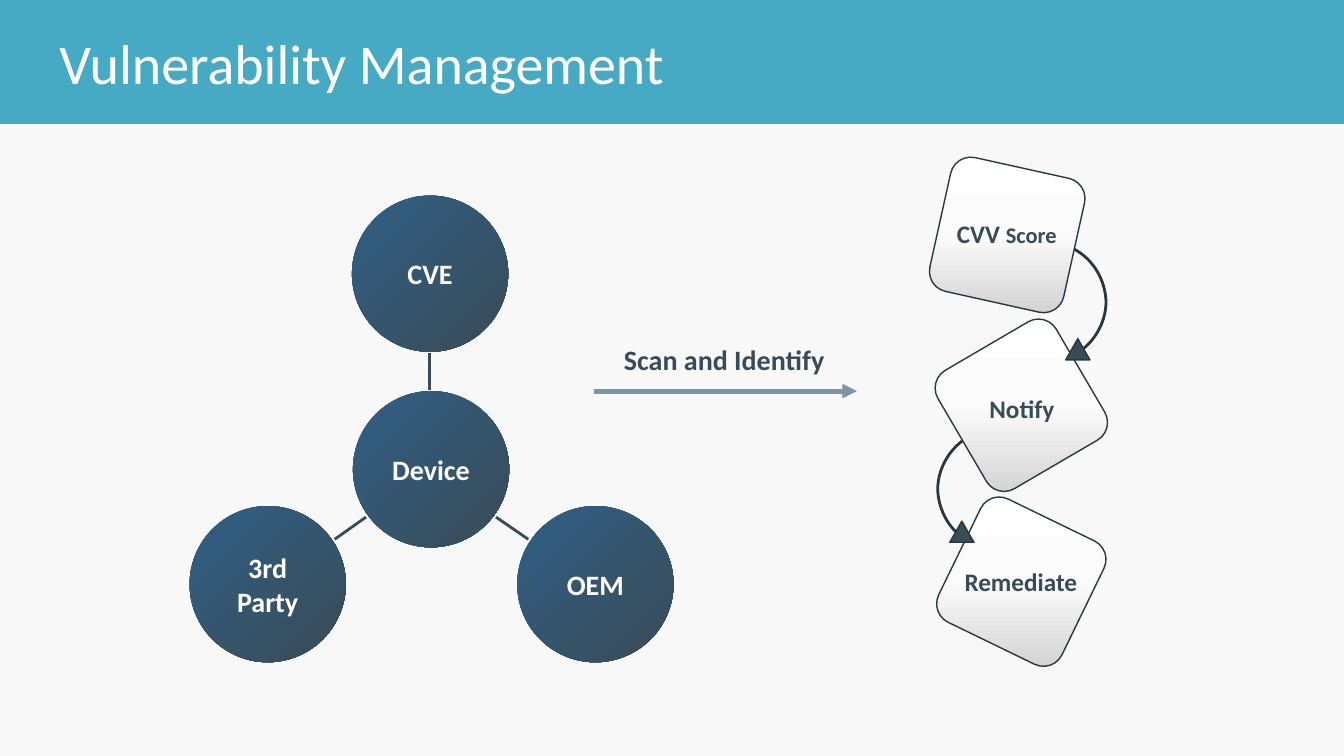
from pptx import Presentation
from pptx.dml.color import RGBColor
from pptx.enum.shapes import MSO_CONNECTOR, MSO_SHAPE
from pptx.enum.text import MSO_ANCHOR, PP_ALIGN
from pptx.oxml import parse_xml
from pptx.oxml.ns import nsdecls, qn
from pptx.util import Pt

EMU_PER_PX = 9144  # 100 px to the inch
WIDTH, HEIGHT = 1333, 750

WHITE, PAPER, TEAL = "FFFFFF", "F8F8F8", "47AAC5"
SLATE, OUTLINE, STEEL = "394B56", "2A3740", "7B96A7"
DISC_STOPS = [(0, "315F85"), (100, SLATE)]
TILE_STOPS = [(0, WHITE), (50, "FBFBFB"), (100, "D1D1D1")]


def px(*lengths):
    return [round(length * EMU_PER_PX) for length in lengths]


def color(hex_code):
    return RGBColor.from_string(hex_code)


def write(frame, *pieces, ink=SLATE, bold=True, align=PP_ALIGN.CENTER, wrap=True):
    """Fill a text frame with one paragraph of (text, size) pieces."""
    frame.word_wrap = wrap
    paragraph = frame.paragraphs[0]
    paragraph.alignment = align
    for text, size in pieces:
        run = paragraph.add_run()
        run.text = text
        run.font.name = "Calibri"
        run.font.size = Pt(size)
        run.font.bold = bold
        run.font.color.rgb = color(ink)


def bezier(p0, p1, p2, p3, steps=16):
    """Points along a cubic curve, without its start."""
    for step in range(1, steps + 1):
        t = step / steps
        s = 1 - t
        yield tuple(s**3 * a + 3 * s * s * t * b + 3 * s * t * t * c + t**3 * d
                    for a, b, c, d in zip(p0, p1, p2, p3))


class SlideBuilder:
    def __init__(self, slide):
        self.shapes = slide.shapes

    def stroke(self, line, ink, weight):
        line.color.rgb = color(ink)
        line.width = Pt(weight)

    def shape(self, kind, x, y, w, h, fill=None, line=None):
        shape = self.shapes.add_shape(kind, *px(x, y, w, h))
        shape.shadow.inherit = False
        if fill:
            shape.fill.solid()
            shape.fill.fore_color.rgb = color(fill)
        if line:
            self.stroke(shape.line, line, 1)
        else:
            shape.line.fill.background()
        return shape

    def gradient(self, shape, stops, angle):
        """Linear gradient that stays upright when the shape turns."""
        stop_xml = "".join(
            f'<a:gs pos="{pos * 1000}"><a:srgbClr val="{ink}"/></a:gs>' for pos, ink in stops)
        shape.fill.gradient()
        properties = shape.element.spPr
        properties.replace(properties.find(qn("a:gradFill")), parse_xml(
            f'<a:gradFill {nsdecls("a")} rotWithShape="0"><a:gsLst>{stop_xml}</a:gsLst>'
            f'<a:lin ang="{angle * 60000}" scaled="0"/></a:gradFill>'))

    def disc(self, x, y, label):
        disc = self.shape(MSO_SHAPE.OVAL, x, y, 155, 155)
        self.gradient(disc, DISC_STOPS, 45)
        disc.text_frame.vertical_anchor = MSO_ANCHOR.MIDDLE
        write(disc.text_frame, (label, 20), ink=WHITE)

    def tile(self, x, y, rotation):
        tile = self.shape(MSO_SHAPE.ROUNDED_RECTANGLE, x, y, 136, 136, line=OUTLINE)
        tile.adjustments[0] = 0.15
        tile.rotation = rotation
        self.gradient(tile, TILE_STOPS, 90)

    def text(self, x, y, w, h, *pieces, **style):
        box = self.shapes.add_textbox(*px(x, y, w, h))
        write(box.text_frame, *pieces, **style)

    def line(self, start, end, ink, weight, arrow=False):
        line = self.shapes.add_connector(MSO_CONNECTOR.STRAIGHT, *px(*start, *end))
        self.stroke(line.line, ink, weight)
        if arrow:
            line.line._get_or_add_ln().append(
                parse_xml(f'<a:tailEnd {nsdecls("a")} type="triangle"/>'))
        line.element.spPr.append(parse_xml(f'<a:effectLst {nsdecls("a")}/>'))

    def curve(self, points):
        points = [px(*point) for point in points]
        builder = self.shapes.build_freeform(*points[0])
        builder.add_line_segments(points[1:], close=False)
        curve = builder.convert_to_shape()
        curve.shadow.inherit = False
        curve.fill.background()
        self.stroke(curve.line, OUTLINE, 2)


def main():
    presentation = Presentation()
    presentation.slide_width, presentation.slide_height = px(WIDTH, HEIGHT)
    page = SlideBuilder(presentation.slides.add_slide(presentation.slide_layouts[6]))

    # Backdrop and title band
    page.shape(MSO_SHAPE.RECTANGLE, 0, 123, WIDTH, HEIGHT - 123, fill=PAPER)
    page.shape(MSO_SHAPE.RECTANGLE, 0, 0, WIDTH, 123, fill=TEAL)
    page.text(49, 23, 626, 77, ("Vulnerability Management", 40),
              ink=WHITE, bold=False, align=PP_ALIGN.LEFT, wrap=False)

    # Arcs between the steps: the second is the first turned half round
    top, bulge, bottom = (1065, 247), (1097, 299), (1062, 354)
    upper_arc = [top, *bezier(top, (1084, 257), (1096, 277), bulge),
                 *bezier(bulge, (1097, 322), (1083, 344), bottom)]
    page.curve(upper_arc)
    page.curve([(2027 - x, 785 - y) for x, y in upper_arc])

    # Step tiles, from the bottom up
    for x, y, rotation in [(945, 509, 295.9), (945, 334, 239.7), (931, 165, 282.5)]:
        page.tile(x, y, rotation)

    # Step labels
    page.text(936, 212, 125, 40, ("CVV ", 18), ("Score", 16))
    page.text(951, 385, 125, 40, ("Notify", 18))
    page.text(945, 557, 135, 40, ("Remediate", 18))

    # Device and its sources
    for x, y, label in [(349, 194, "CVE"), (350, 388, "Device"),
                        (513, 502, "OEM"), (188, 502, "3rd Party")]:
        page.disc(x, y, label)
    for start, end in [((426, 350), (426, 387)), ((492, 513), (524, 535)),
                       ((363, 513), (332, 535))]:
        page.line(start, end, SLATE, 2)

    # Arrowheads on the arcs
    for x, y in [(1057, 336), (942, 517)]:
        page.shape(MSO_SHAPE.ISOSCELES_TRIANGLE, x, y, 24, 21, fill=SLATE, line=OUTLINE)

    # Scan arrow
    page.text(609, 335, 221, 44, ("Scan and Identify", 20), align=PP_ALIGN.LEFT, wrap=False)
    page.line((589, 388), (850, 388), STEEL, 3.5, arrow=True)

    presentation.save("out.pptx")


if __name__ == "__main__":
    main()
